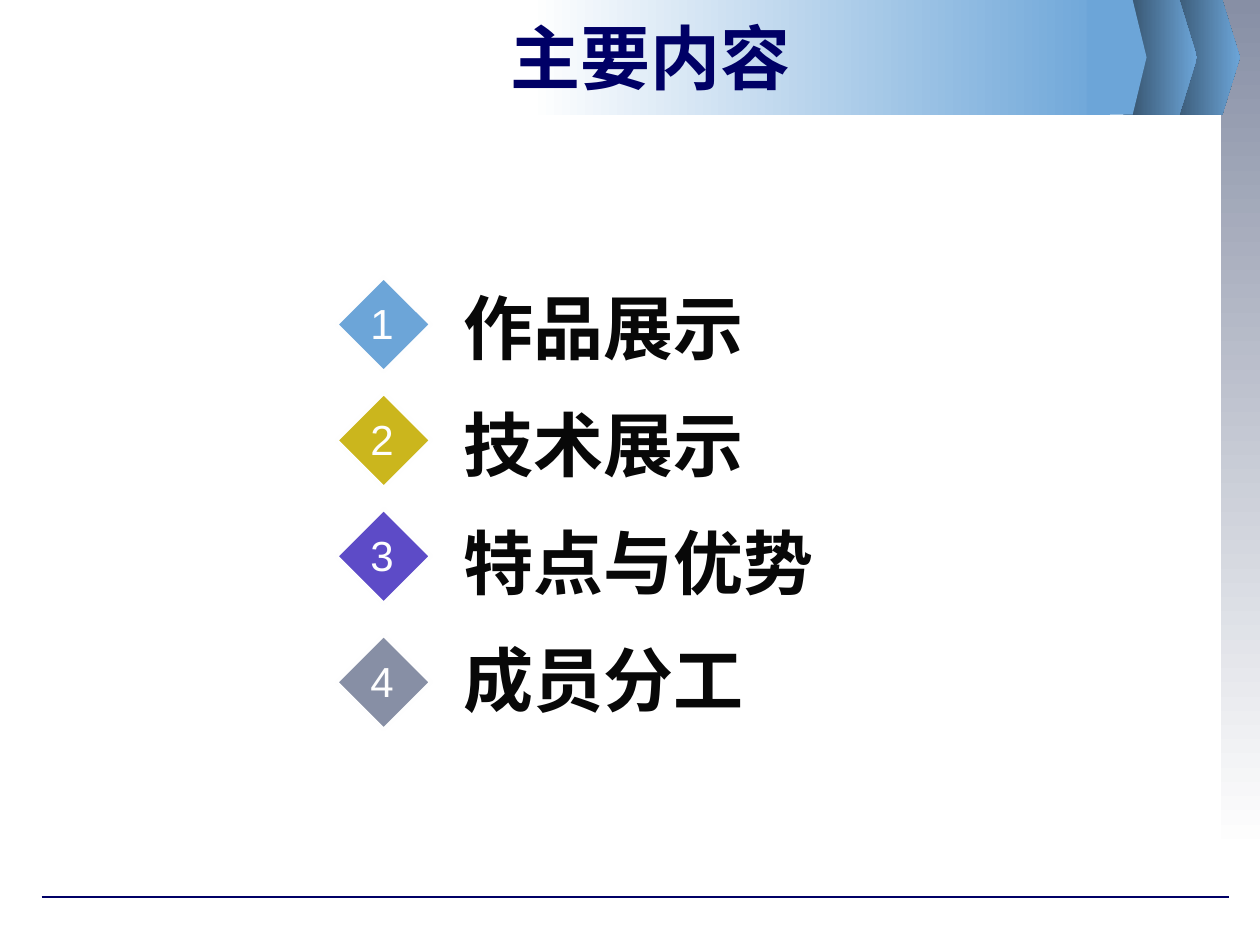
from lxml import etree
from pptx import Presentation
from pptx import util as u
from pptx.dml import color
from pptx.enum import shapes, text
from pptx.oxml import ns

NAVY, BLUE, DARK, GREY, PALE = "000066", "6CA5D8", "324C64", "878FA5", "FEFEFE"
ITEMS = [
    ("作品展示", BLUE, 2.2),
    ("技术展示", "CBB61D", 3.12),
    ("特点与优势", "5D4BC7", 4.04),
    ("成员分工", GREY, 5.04),
]


def rgb(code):
    return color.RGBColor.from_string(code)


def inch(*vals):
    return [u.Inches(v) for v in vals]


def paint(shape, *codes, angle=0):
    shape.shadow.inherit = False
    shape.line.fill.background()
    if len(codes) == 1:
        shape.fill.solid()
        shape.fill.fore_color.rgb = rgb(codes[0])
        return
    shape.fill.gradient()
    shape.fill.gradient_angle = angle
    for stop, code, pos in zip(shape.fill.gradient_stops, codes, (0, 1)):
        stop.color.rgb = rgb(code)
        stop.position = pos


def write(para, words, size, font, code, bold=False):
    run = para.add_run()
    run.text = words
    run.font.size = u.Pt(size)
    run.font.name = font
    run.font.bold = bold
    run.font.color.rgb = rgb(code)


def block(slide, box, *codes, angle=0):
    shape = slide.shapes.add_shape(shapes.MSO_SHAPE.RECTANGLE, *inch(*box))
    paint(shape, *codes, angle=angle)


def arrow(slide, box, notch, *codes):
    left, top, wide, high = box
    right, base = left + wide, top + high
    points = [(right - notch, top), (right, top + high / 2),
              (right - notch, base), (left, base)]
    form = slide.shapes.build_freeform(*inch(left, top), scale=1.0)
    form.add_line_segments([inch(*point) for point in points], close=True)
    paint(form.convert_to_shape(), *codes)


def rule(slide, left, top, wide):
    line = slide.shapes.add_connector(
        shapes.MSO_CONNECTOR.STRAIGHT, *inch(left, top, left + wide, top))
    line.line.color.rgb = rgb(NAVY)
    line.line.width = u.Pt(0.74)
    etree.SubElement(line.element.spPr, ns.qn("a:effectLst"))


def banner(slide, left, top, wide, high):
    right = left + wide
    for back in (0, 0.34):
        arrow(slide, (right - back - 0.59, top, 0.59, high), 0.14, DARK, BLUE)
    block(slide, (left, top, 4.6, high), "FFFFFF", BLUE)
    arrow(slide, (left + 4.42, top, 0.47, high), 0.11, BLUE)


def heading(slide, box, words):
    title = slide.shapes.title
    title.left, title.top, title.width, title.height = inch(*box)
    frame = title.text_frame
    frame.auto_size = text.MSO_AUTO_SIZE.NONE
    frame.vertical_anchor = text.MSO_ANCHOR.MIDDLE
    frame.margin_top = frame.margin_bottom = 0
    para = frame.paragraphs[0]
    para.alignment = text.PP_ALIGN.CENTER
    write(para, words, 40, "Times New Roman", NAVY, True)
    title.element.getparent().append(title.element)


def badge(slide, left, top, side, label, code):
    gem = slide.shapes.add_shape(
        shapes.MSO_SHAPE.DIAMOND, *inch(left, top, side, side))
    paint(gem, code)
    gem.line.color.rgb = rgb(PALE)
    gem.line.width = u.Pt(2)
    note = slide.shapes.add_textbox(
        *inch(left + 0.17, top + 0.11, 0.38, 0.5))
    note.text_frame.word_wrap = False
    para = note.text_frame.paragraphs[0]
    para.alignment = text.PP_ALIGN.CENTER
    write(para, label, 24, "Arial", PALE)


def agenda(slide, left, top, wide, high):
    body = slide.shapes.add_textbox(*inch(left + 0.91, top, wide - 0.91, high))
    frame = body.text_frame
    frame.word_wrap = True
    for num, (words, code, mark) in enumerate(ITEMS, 1):
        para = frame.paragraphs[0] if num == 1 else frame.add_paragraph()
        para.line_spacing = 1.4
        write(para, words, 40, "Times New Roman", "080808", True)
        badge(slide, left, mark, 0.75, str(num), code)


def main():
    deck = Presentation()
    deck.slide_width, deck.slide_height = inch(10, 7.5)
    slide = deck.slides.add_slide(deck.slide_layouts[5])
    block(slide, (9.69, 0, 0.31, 6.77), GREY, "FFFFFF", angle=270)
    rule(slide, 0.33, 7.12, 9.42)
    banner(slide, 4.21, 0, 5.63, 0.91)
    heading(slide, (1.25, 0.12, 7.83, 0.65), "主要内容")
    agenda(slide, 2.67, 1.94, 4.66, 3.84)
    deck.save("out.pptx")


main()
